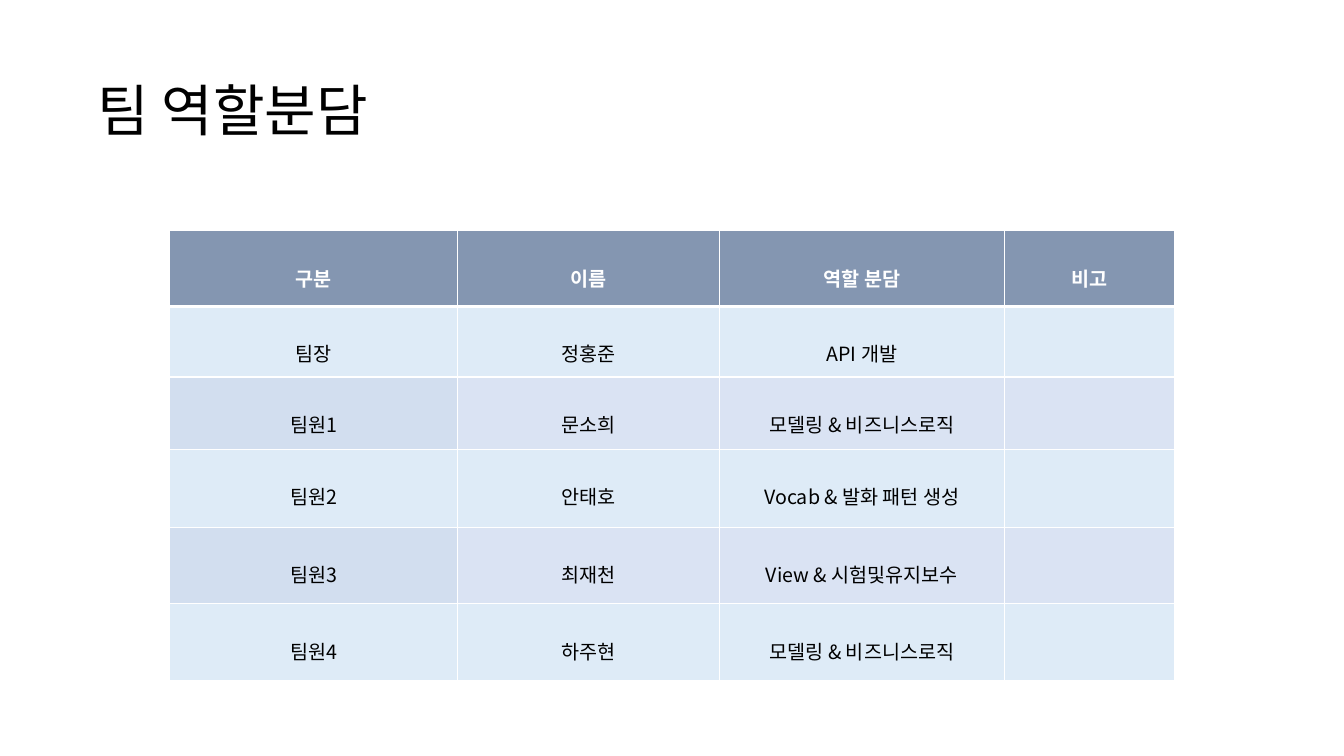
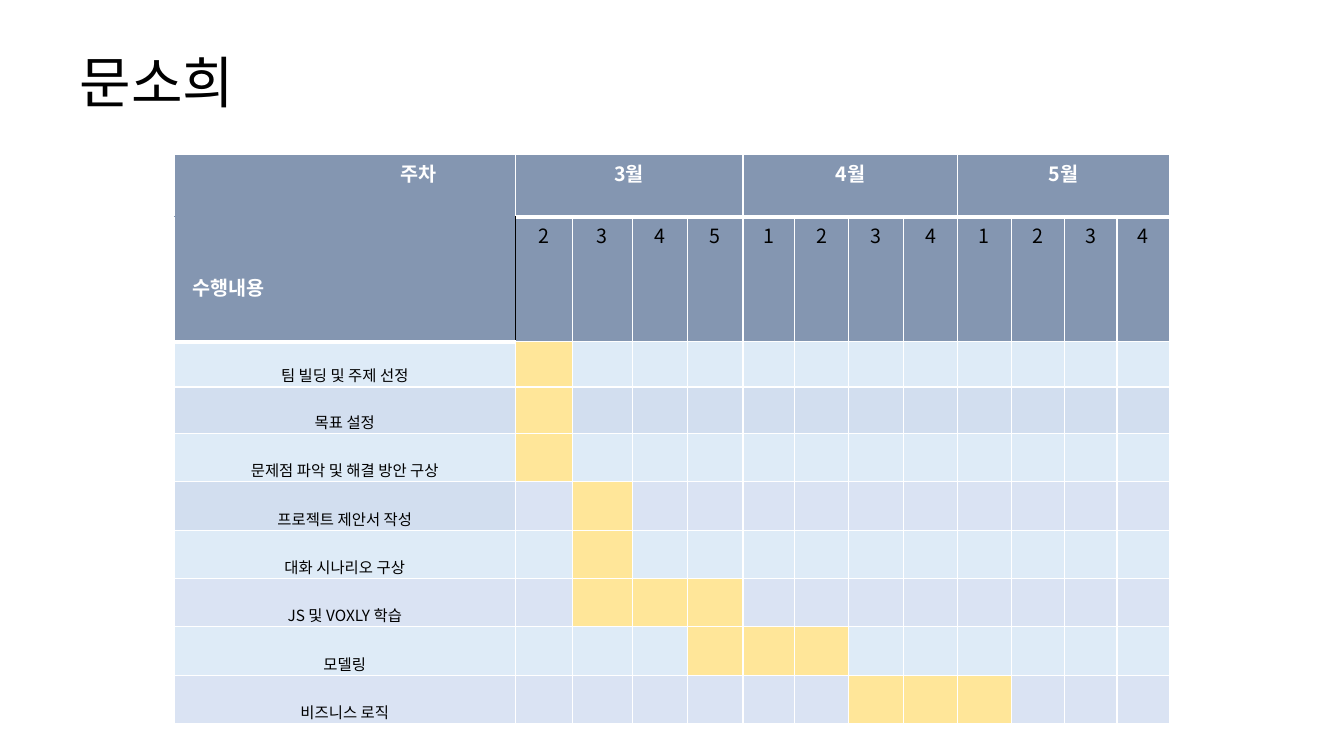
from dataclasses import dataclass
from typing import Optional

from lxml import etree
from pptx import Presentation
from pptx import util as u
from pptx.dml import color
from pptx.enum import text
from pptx.oxml import ns

FONT = "Noto Sans CJK KR"
HEADER, WHITE, BLACK = "8496B1", "FFFFFF", "000000"
PALE, BLUE, LAVENDER, ACTIVE = "DEEBF7", "D2DEEF", "DAE3F3", "FFE699"
THIN, THICK = 1, 3
TASK_LINE = 0.45


@dataclass(frozen=True)
class Title:
    wording: str
    left: float
    top: float
    width: float


@dataclass(frozen=True)
class TextStyle:
    size: float
    colour: str = BLACK
    bold: bool = False
    line_spacing: Optional[float] = None
    align: text.PP_ALIGN = text.PP_ALIGN.CENTER


@dataclass(frozen=True)
class Task:
    label: str
    first_week: int
    weeks: int
    label_fill: str
    row_fill: str


@dataclass(frozen=True)
class Month:
    label: str
    weeks: tuple[int, ...]


TITLE = TextStyle(40, align=text.PP_ALIGN.LEFT)
ROLE_HEADING = TextStyle(14, WHITE, True, 2)
ROLE_BODY = TextStyle(14, line_spacing=2)
MONTH = TextStyle(14, WHITE, True)
WEEKS_LABEL = TextStyle(14, WHITE, True, align=text.PP_ALIGN.RIGHT)
CONTENT_LABEL = TextStyle(14, WHITE, True, align=text.PP_ALIGN.LEFT)
WEEK = TextStyle(14)
TASK = TextStyle(11, line_spacing=2)


def rgb(value: str) -> color.RGBColor:
    return color.RGBColor.from_string(value)


def write(paragraph, wording: str, style: TextStyle) -> None:
    paragraph.alignment = style.align
    if style.line_spacing:
        paragraph.line_spacing = style.line_spacing
    run = paragraph.add_run()
    run.text = wording
    run.font.name = FONT
    run.font.size = u.Pt(style.size)
    run.font.bold = style.bold
    run.font.color.rgb = rgb(style.colour)
    properties = run.font._element
    properties.set("kern", "0")
    etree.SubElement(properties, ns.qn("a:ea"), typeface=FONT)


def add_titled_slide(deck, title: Title):
    slide = deck.slides.add_slide(deck.slide_layouts[5])
    heading = slide.shapes.title
    heading.left, heading.top = u.Inches(title.left), u.Inches(title.top)
    heading.width, heading.height = u.Inches(title.width), u.Inches(0.76)
    frame = heading.text_frame
    frame.auto_size = text.MSO_AUTO_SIZE.NONE
    frame.vertical_anchor = text.MSO_ANCHOR.MIDDLE
    write(frame.paragraphs[0], title.wording, TITLE)
    return slide


def set_border(cell, side: str, width: float, colour: str = WHITE) -> None:
    properties = cell._tc.get_or_add_tcPr()
    tag = ns.qn(f"a:ln{side}")
    for previous in properties.findall(tag):
        properties.remove(previous)
    line = etree.Element(tag, w=str(u.Pt(width)))
    fill = etree.SubElement(line, ns.qn("a:solidFill"))
    etree.SubElement(fill, ns.qn("a:srgbClr"), val=colour)
    properties.insert("LRTB".index(side), line)


def paint(cell, fill: str) -> None:
    cell.fill.solid()
    cell.fill.fore_color.rgb = rgb(fill)
    cell.margin_left = cell.margin_right = u.Inches(0.08)
    cell.margin_top = cell.margin_bottom = u.Inches(0.04)
    for side in "LRTB":
        set_border(cell, side, THIN)


def fill_cell(cell, wording: str, style: TextStyle) -> None:
    if wording:
        write(cell.text_frame.paragraphs[0], wording, style)


def set_rule(upper, lower, width: float = THICK, colour: str = WHITE) -> None:
    set_border(upper, "B", width, colour)
    set_border(lower, "T", width, colour)


def add_grid(slide, left: float, top: float, widths: list[float], heights: list[float]):
    table = slide.shapes.add_table(
        len(heights), len(widths), u.Inches(left), u.Inches(top),
        u.Inches(sum(widths)), u.Inches(sum(heights)),
    ).table
    table.first_row = table.horz_banding = False
    for column, width in zip(table.columns, widths):
        column.width = u.Inches(width)
    for row, height in zip(table.rows, heights):
        row.height = u.Inches(height)
    return table


def build_roles(deck) -> None:
    slide = add_titled_slide(deck, Title("팀 역할분담", 0.87, 0.7, 4.69))
    roles = [
        ("구분", "이름", "역할 분담", "비고"),
        ("팀장", "정홍준", "API 개발", ""),
        ("팀원1", "문소희", "모델링 & 비즈니스로직", ""),
        ("팀원2", "안태호", "Vocab & 발화 패턴 생성", ""),
        ("팀원3", "최재천", "View & 시험및유지보수", ""),
        ("팀원4", "하주현", "모델링 & 비즈니스로직", ""),
    ]
    table = add_grid(slide, 1.68, 2.29, [2.86, 2.6, 2.82, 1.69],
                     [0.75, 0.7, 0.72, 0.77, 0.76, 0.76])
    for row, entries in enumerate(roles):
        for column, wording in enumerate(entries):
            cell = table.cell(row, column)
            if row == 0:
                fill = HEADER
            elif row % 2:
                fill = PALE
            else:
                fill = LAVENDER if column else BLUE
            paint(cell, fill)
            fill_cell(cell, wording, ROLE_BODY if row else ROLE_HEADING)
    for column in range(len(roles[0])):
        set_rule(table.cell(0, column), table.cell(1, column))


def add_schedule_header(table, months: list[Month]) -> None:
    column = 1
    for month in months:
        month_cell = table.cell(0, column)
        for offset, week in enumerate(month.weeks):
            paint(table.cell(0, column + offset), HEADER)
            week_cell = table.cell(1, column + offset)
            paint(week_cell, HEADER)
            fill_cell(week_cell, str(week), WEEK)
            set_rule(table.cell(0, column + offset), week_cell)
        month_cell.merge(table.cell(0, column + len(month.weeks) - 1))
        fill_cell(month_cell, month.label, MONTH)
        column += len(month.weeks)

    weeks_corner, content_corner = table.cell(0, 0), table.cell(1, 0)
    paint(weeks_corner, HEADER)
    paint(content_corner, HEADER)
    set_rule(weeks_corner, content_corner, THIN, HEADER)
    set_rule(content_corner, table.cell(2, 0))
    set_border(content_corner, "R", THIN, BLACK)
    set_border(table.cell(1, 1), "L", THIN, BLACK)
    weeks_corner.margin_right = u.Inches(0.78)
    content_corner.margin_left = u.Inches(0.18)
    content_corner.margin_top = u.Inches(0.56)
    fill_cell(weeks_corner, "주차", WEEKS_LABEL)
    fill_cell(content_corner, "수행내용", CONTENT_LABEL)


def build_schedule(deck) -> None:
    slide = add_titled_slide(deck, Title("문소희", 0.69, 0.42, 2.58))
    months = [
        Month("3월", (2, 3, 4, 5)),
        Month("4월", (1, 2, 3, 4)),
        Month("5월", (1, 2, 3, 4)),
    ]
    tasks = [
        Task("팀 빌딩 및 주제 선정", 1, 1, PALE, PALE),
        Task("목표 설정", 1, 1, BLUE, BLUE),
        Task("문제점 파악 및 해결 방안 구상", 1, 1, PALE, PALE),
        Task("프로젝트 제안서 작성", 2, 1, BLUE, LAVENDER),
        Task("대화 시나리오 구상", 2, 1, PALE, PALE),
        Task("JS 및 VOXLY 학습", 2, 3, LAVENDER, LAVENDER),
        Task("모델링", 4, 3, PALE, PALE),
        Task("비즈니스 로직", 7, 3, LAVENDER, LAVENDER),
    ]
    widths = [3.38, 0.57, 0.59, 0.55, 0.55, 0.51] + [0.54] * 3 + [0.53, 0.53, 0.52, 0.52]
    heights = [0.62, 1.24, 0.45, 0.46] + [0.48] * 6
    table = add_grid(slide, 1.73, 1.53, widths, heights)
    for row, task in enumerate(tasks, start=2):
        label_cell = table.cell(row, 0)
        paint(label_cell, task.label_fill)
        label_cell.margin_top = u.Inches(heights[row] - TASK_LINE)
        label_cell.margin_bottom = 0
        fill_cell(label_cell, task.label, TASK)
        for week in range(1, len(widths)):
            active = task.first_week <= week < task.first_week + task.weeks
            paint(table.cell(row, week), ACTIVE if active else task.row_fill)
    add_schedule_header(table, months)


def main() -> None:
    deck = Presentation()
    deck.slide_width, deck.slide_height = u.Inches(13.33), u.Inches(7.5)
    build_roles(deck)
    build_schedule(deck)
    deck.save("out.pptx")


main()
